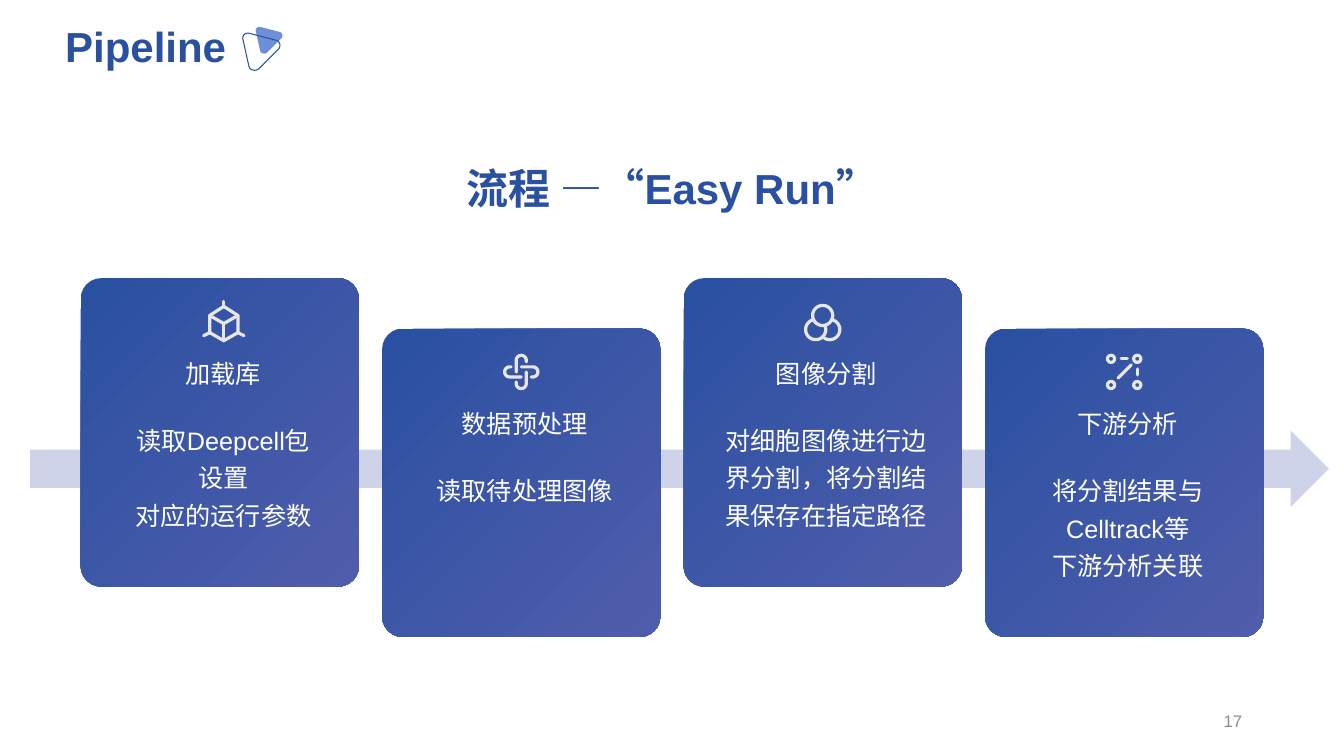
from math import cos, radians, sin

from lxml.etree import SubElement
from pptx import Presentation
from pptx.dml.color import RGBColor
from pptx.enum.shapes import MSO_CONNECTOR as Connector, MSO_SHAPE as Shape
from pptx.enum.text import MSO_ANCHOR as Anchor, PP_ALIGN as Align
from pptx.oxml.ns import qn
from pptx.util import Inches, Pt

COLORS = {
    "blue": "2A50A1",
    "violet": "505DAC",
    "sky": "6D8FD9",
    "arrow": "CFD3E9",
    "icon": "E7E6E6",
    "white": "FFFFFF",
    "gray": "8C8C8C",
}
FONT = "Arial"
CARD_WIDTH, CARD_HEIGHT = 2.76, 3.06
CARD_LEFT, CARD_PITCH = 0.8, 2.99
CARD_TOP, CARD_DROP = 2.76, 0.5


def color(name):
    return RGBColor.from_string(COLORS[name])


def add_text(slide, box, text, size=18, fill="white", bold=False, align=Align.CENTER,
             anchor=Anchor.TOP, spacing=None, inset=(0, 0)):
    frame = slide.shapes.add_textbox(*map(Inches, box)).text_frame
    frame.word_wrap = True
    frame.vertical_anchor = anchor
    frame.margin_left = frame.margin_right = Inches(inset[0])
    frame.margin_top = frame.margin_bottom = Inches(inset[1])
    frame.text = text
    for paragraph in frame.paragraphs:
        paragraph.alignment = align
        paragraph.line_spacing = spacing
        paragraph.font.name = FONT
        paragraph.font.size = Pt(size)
        paragraph.font.bold = bold
        paragraph.font.color.rgb = color(fill)


def add_outline(slide, points, close=False):
    points = [(Inches(x), Inches(y)) for x, y in points]
    builder = slide.shapes.build_freeform(*points[0])
    builder.add_line_segments(points[1:], close=close)
    shape = builder.convert_to_shape()
    shape.shadow.inherit = False
    return shape


def add_stroke(slide, points):
    if len(points) == 2:
        ends = [Inches(value) for point in points for value in point]
        shape = slide.shapes.add_connector(Connector.STRAIGHT, *ends)
    else:
        shape = add_outline(slide, points, close=points[0] == points[-1])
        shape.fill.background()
    shape.line.color.rgb = color("icon")
    shape.line.width = Pt(2.31)
    properties = shape.element.spPr
    properties.find(qn("a:ln")).set("cap", "rnd")
    if len(points) == 2:
        SubElement(properties, qn("a:effectLst"))


def arc(x, y, radius, start=0, end=360, steps=24):
    angles = [radians(start + (end - start) * step / steps) for step in range(steps + 1)]
    return [(round(x + radius * cos(a), 4), round(y + radius * sin(a), 4)) for a in angles]


def curve(start, first, second, end, steps=8):
    points = []
    for step in range(steps + 1):
        t = step / steps
        weights = ((1 - t) ** 3, 3 * t * (1 - t) ** 2, 3 * t * t * (1 - t), t ** 3)
        points.append(tuple(sum(w * p[axis] for w, p in zip(weights, (start, first, second, end)))
                            for axis in (0, 1)))
    return points


def cube_strokes():
    top, center, bottom = (0, -0.17), (0, 0), (0, 0.17)
    upper_left, upper_right = (-0.14, -0.08), (0.14, -0.08)
    lower_left, lower_right = (-0.14, 0.09), (0.14, 0.09)
    return [
        [top, upper_right, lower_right, bottom, lower_left, upper_left, top],
        [upper_left, center, upper_right],
        [center, bottom],
        [top, (0, -0.22)],
        [lower_left, (-0.2, 0.12)],
        [lower_right, (0.2, 0.12)],
    ]


def knot_strokes():
    strokes = []
    loop = [(-0.05, 0), *arc(0, -0.115, 0.05, 180, 360), (0.05, -0.1)]
    for _ in range(4):
        strokes.append(loop)
        loop = [(y, -x) for x, y in loop]
    return strokes


def circles_strokes():
    return [
        arc(0, -0.07, 0.1),
        arc(0.07, 0.07, 0.1, 135, -80),
        arc(-0.07, 0.07, 0.1, 255, -25),
    ]


def nodes_strokes():
    nodes = [arc(x, y, 0.035) for x in (-0.13, 0.13) for y in (-0.13, 0.13)]
    return nodes + [
        [(-0.03, -0.13), (0.03, -0.13)],
        [(0.07, -0.07), (-0.06, 0.06)],
        [(0.13, -0.03), (0.13, 0.03)],
    ]


STEPS = [
    ("加载库", "读取Deepcell包\n设置\n对应的运行参数", cube_strokes(), (1.42, 0.45)),
    ("数据预处理", "读取待处理图像", knot_strokes(), (1.38, 0.43)),
    ("图像分割", "对细胞图像进行边界分割，将分割结果保存在指定路径", circles_strokes(), (1.38, 0.44)),
    ("下游分析", "将分割结果与Celltrack等\n下游分析关联", nodes_strokes(), (1.38, 0.43)),
]


def add_card(slide, left, top, title, body, strokes, icon_center):
    card = slide.shapes.add_shape(Shape.ROUNDED_RECTANGLE, Inches(left), Inches(top),
                                  Inches(CARD_WIDTH), Inches(CARD_HEIGHT))
    card.adjustments[0] = 0.074
    card.shadow.inherit = False
    card.line.fill.background()
    card.fill.gradient()
    card.fill.gradient_angle = 315
    for stop, name, position in zip(card.fill.gradient_stops, ("blue", "violet"), (0, 1)):
        stop.color.rgb = color(name)
        stop.position = position
    x, y = left + icon_center[0], top + icon_center[1]
    for stroke in strokes:
        add_stroke(slide, [(x + dx, y + dy) for dx, dy in stroke])
    add_text(slide, (left + 0.3, top + 0.79, 2.23, 0.3), title)
    add_text(slide, (left + 0.3, top + 1.38, 2.23, 1.17), body, spacing=1.25)


def add_process(slide):
    arrow = slide.shapes.add_shape(Shape.RIGHT_ARROW, *map(Inches, (0.3, 4.27, 12.88, 0.76)))
    arrow.shadow.inherit = False
    arrow.fill.solid()
    arrow.fill.fore_color.rgb = color("arrow")
    arrow.line.fill.background()
    for index, step in enumerate(STEPS):
        add_card(slide, CARD_LEFT + index * CARD_PITCH, CARD_TOP + index % 2 * CARD_DROP, *step)


def add_header(slide, left, top):
    add_text(slide, (left, top, 2.11, 0.5), "Pipeline", size=30, fill="blue", bold=True)
    triangle = [
        *curve((0.17, 0.36), (0.14, 0.39), (0.08, 0.38), (0.07, 0.34)),
        *curve((0.01, 0.07), (0, 0.04), (0.03, 0), (0.07, 0.01)),
        *curve((0.34, 0.08), (0.38, 0.09), (0.39, 0.14), (0.36, 0.17)),
    ]
    solid = add_outline(slide, [(left + 2.14 + 0.72 * x, top + 0.06 + 0.72 * y)
                                for x, y in triangle], close=True)
    solid.fill.solid()
    solid.fill.fore_color.rgb = color("sky")
    solid.line.fill.background()
    hollow = add_outline(slide, [(left + 2.01 + x, top + 0.12 + y) for x, y in triangle], close=True)
    hollow.fill.background()
    hollow.line.color.rgb = color("blue")
    hollow.line.width = Pt(0.75)


def main():
    presentation = Presentation()
    presentation.slide_width = Inches(13.33)
    presentation.slide_height = Inches(7.5)
    slide = presentation.slides.add_slide(presentation.slide_layouts[6])
    add_text(slide, (3.67, 1.61, 6, 0.5), "流程 —“Easy Run”", size=30, fill="blue", bold=True)
    add_process(slide)
    add_header(slide, 0.39, 0.2)
    add_text(slide, (9.42, 6.95, 3, 0.4), "17", size=12, fill="gray", align=Align.RIGHT,
             anchor=Anchor.MIDDLE, inset=(0.1, 0.05))
    presentation.save("out.pptx")


if __name__ == "__main__":
    main()
